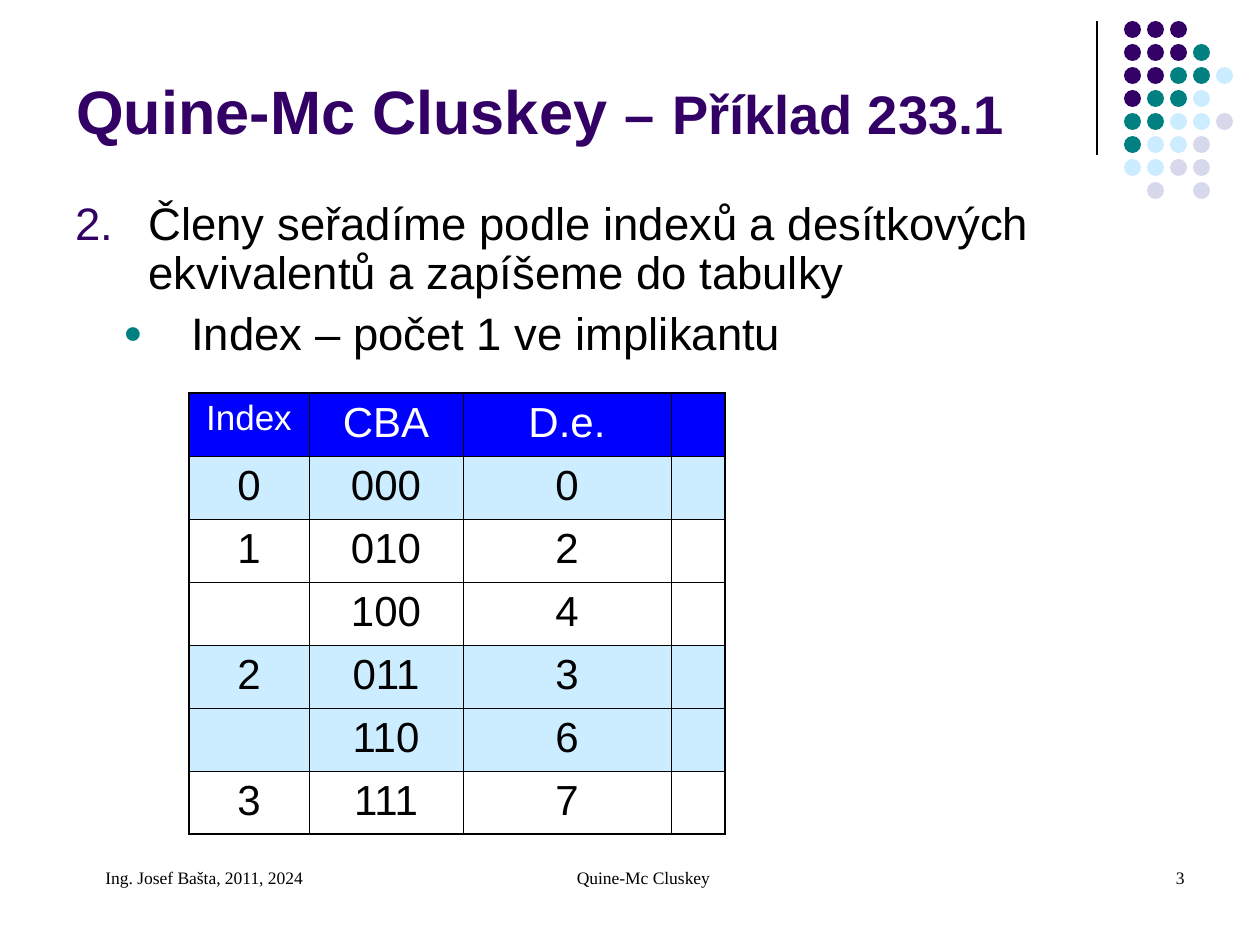
from dataclasses import dataclass

from lxml.etree import SubElement
from pptx import Presentation
from pptx.dml.color import RGBColor
from pptx.enum.shapes import MSO_CONNECTOR as Connector, MSO_SHAPE as Shape
from pptx.enum.text import MSO_ANCHOR as Anchor, PP_ALIGN as Align
from pptx.oxml.ns import qn
from pptx.util import Pt


@dataclass(frozen=True)
class Theme:
    purple: str = "330066"
    teal: str = "008080"
    sky: str = "CCECFF"
    lilac: str = "D8D8EC"
    blue: str = "0000FF"
    black: str = "000000"
    white: str = "FFFFFF"
    sans: str = "Arial"
    serif: str = "Times New Roman"
    title: int = 35
    title_small: int = 31
    body: int = 26
    table: int = 24
    table_small: int = 20
    footer: int = 10
    outer_line: float = 1.08
    inner_line: float = 0.45


THEME = Theme()
EMU_PER_PX = 914400 / 126


def px(length):
    return round(length * EMU_PER_PX)


def color(value):
    return RGBColor.from_string(value)


def add_span(para, text, size, ink=THEME.black, face=THEME.sans, bold=False):
    span = para.add_run()
    span.text = text
    span.font.name = face
    span.font.size = Pt(size)
    span.font.bold = bold
    span.font.color.rgb = color(ink)


def add_text_frame(page, area, anchor=Anchor.TOP):
    frame = page.shapes.add_textbox(*map(px, area)).text_frame
    frame.word_wrap = True
    frame.vertical_anchor = anchor
    return frame


def set_bullet(para, margin, hang, ink, kind, size=100, **settings):
    props = para._p.get_or_add_pPr()
    props.set("marL", str(px(margin)))
    props.set("indent", str(px(-hang)))
    SubElement(SubElement(props, qn("a:buClr")), qn("a:srgbClr"), val=ink)
    SubElement(props, qn("a:buSzPct"), val=str(size * 1000))
    SubElement(props, qn("a:buFont"), typeface=THEME.sans)
    SubElement(props, qn(kind), **settings)


def add_ornament(page, left, top):
    # Vertical rule
    rule = page.shapes.add_connector(
        Connector.STRAIGHT, px(left), px(top), px(left), px(top + 134))
    rule.line.color.rgb = color(THEME.black)
    rule.line.width = Pt(0.75)
    SubElement(rule._element.spPr, qn("a:effectLst"))

    # Dot grid
    inks = {"P": THEME.purple, "T": THEME.teal, "S": THEME.sky, "L": THEME.lilac}
    pattern = ["PPP", "PPPT", "PPTTS", "PTTS", "TTSSL", "TSSL", "SSLL", ".L.L"]
    pitch, size = 23, 17
    for row, marks in enumerate(pattern):
        for column, mark in enumerate(marks):
            if mark not in inks:
                continue
            dot = page.shapes.add_shape(
                Shape.OVAL, px(left + 27 + column * pitch),
                px(top + row * pitch), px(size), px(size))
            dot.shadow.inherit = False
            dot.fill.solid()
            dot.fill.fore_color.rgb = color(inks[mark])
            dot.line.fill.background()


def add_title(page, area):
    para = add_text_frame(page, area, Anchor.BOTTOM).paragraphs[0]
    for text, size in [("Quine-Mc Cluskey ", THEME.title),
                       ("–", THEME.title_small),
                       (" ", THEME.title),
                       ("Příklad 233.1", THEME.title_small)]:
        add_span(para, text, size, THEME.purple, bold=True)


def add_body(page, area):
    frame = add_text_frame(page, area)
    step = frame.paragraphs[0]
    set_bullet(step, 73, 73, THEME.purple, "a:buAutoNum",
               type="arabicPeriod", startAt="2")
    add_span(step, "Členy seřadíme podle indexů a desítkových "
                   "ekvivalentů a zapíšeme do tabulky", THEME.body)

    detail = frame.add_paragraph()
    detail.level = 1
    set_bullet(detail, 116, 68, THEME.teal, "a:buChar", size=70, char="●")
    detail.space_before = Pt(6.5)
    add_span(detail, "Index – počet 1 ve implikantu", THEME.body)

    for para in frame.paragraphs:
        para.line_spacing = 0.9


def set_borders(cell, outer_sides):
    props = cell._tc.get_or_add_tcPr()
    for place, side in enumerate("LRTB"):
        width = THEME.outer_line if side in outer_sides else THEME.inner_line
        line = SubElement(props, qn(f"a:ln{side}"), w=str(Pt(width)))
        fill = SubElement(line, qn("a:solidFill"))
        SubElement(fill, qn("a:srgbClr"), val=THEME.black)
        props.insert(place, line)


def add_implicant_table(page, left, top):
    rows = [
        (THEME.blue, ["Index", "CBA", "D.e.", ""]),
        (THEME.sky, ["0", "000", "0", ""]),
        (THEME.white, ["1", "010", "2", ""]),
        (THEME.white, ["", "100", "4", ""]),
        (THEME.sky, ["2", "011", "3", ""]),
        (THEME.sky, ["", "110", "6", ""]),
        (THEME.white, ["3", "111", "7", ""]),
    ]
    widths, height = [120, 154, 208, 54], 63
    table = page.shapes.add_table(
        len(rows), len(widths), px(left), px(top),
        px(sum(widths)), px(height * len(rows))).table
    for column, width in zip(table.columns, widths):
        column.width = px(width)

    last_row, last_column = len(rows) - 1, len(widths) - 1
    for r, (fill, texts) in enumerate(rows):
        table.rows[r].height = px(height)
        for c, text in enumerate(texts):
            cell = table.cell(r, c)
            cell.fill.solid()
            cell.fill.fore_color.rgb = color(fill)
            edges = {"L": c == 0, "R": c == last_column,
                     "T": r == 0, "B": r == last_row}
            set_borders(cell, [side for side, outer in edges.items() if outer])
            para = cell.text_frame.paragraphs[0]
            para.alignment = Align.CENTER
            if text:
                size = THEME.table_small if text == "Index" else THEME.table
                add_span(para, text, size, THEME.white if r == 0 else THEME.black)


def add_footer(page, top):
    for left, width, text, align in [
            (63, 294, "Ing. Josef Bašta, 2011, 2024", Align.LEFT),
            (431, 399, "Quine-Mc Cluskey ", Align.CENTER),
            (903, 294, "3", Align.RIGHT)]:
        para = add_text_frame(page, (left, top, width, 63)).paragraphs[0]
        para.alignment = align
        para._p.get_or_add_pPr().set("marL", str(px(30)))
        add_span(para, text, THEME.footer, face=THEME.serif)


def main():
    deck = Presentation()
    deck.slide_width, deck.slide_height = px(1260), px(945)
    page = deck.slides.add_slide(deck.slide_layouts[6])
    add_ornament(page, 1097, 21)
    add_title(page, (64, 45, 1040, 108))
    add_body(page, (63, 195, 1134, 179))
    add_implicant_table(page, 189, 393)
    add_footer(page, 861)
    deck.save("out.pptx")


if __name__ == "__main__":
    main()
